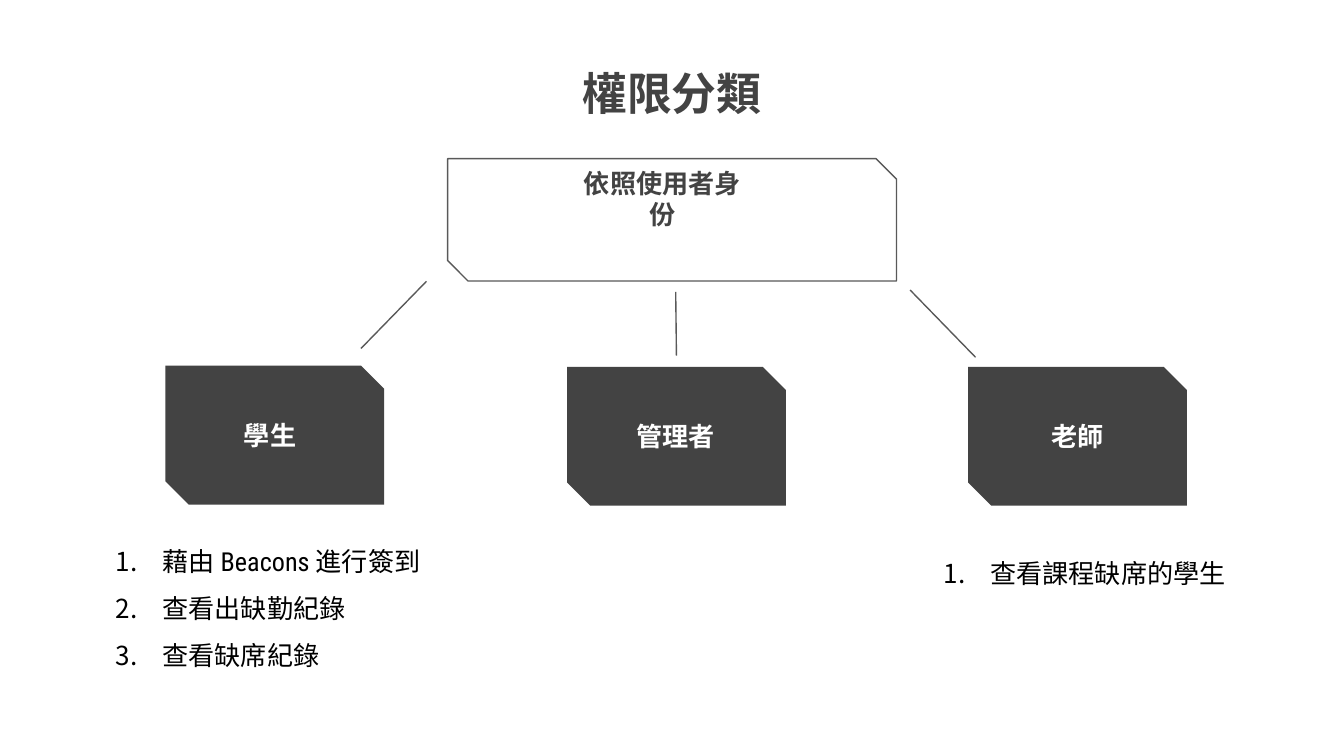
from lxml import etree
from pptx import Presentation
from pptx.enum import shapes, text
from pptx.oxml import ns
from pptx.dml.color import RGBColor
from pptx.util import Pt

COLORS = {"dark": "434343", "line": "595959", "white": "FFFFFF", "black": "000000"}
SNIP = 0.167

presentation = Presentation()
presentation.slide_width, presentation.slide_height = Pt(720), Pt(405)
slide = presentation.slides.add_slide(presentation.slide_layouts[6])


def add_text(box, lines, size, color, font="Roboto", anchor=text.MSO_ANCHOR.TOP, numbered=False):
    """Add a text box; plain lines are bold and centred, numbered ones form a list."""
    frame = slide.shapes.add_textbox(*map(Pt, box)).text_frame
    frame.word_wrap = True
    frame.vertical_anchor = anchor
    frame.margin_left = frame.margin_right = frame.margin_top = frame.margin_bottom = Pt(7.2)
    for index, line in enumerate(lines):
        paragraph = frame.paragraphs[0] if index == 0 else frame.add_paragraph()
        if numbered:
            properties = paragraph._p.get_or_add_pPr()
            properties.set("marL", str(Pt(36)))
            properties.set("indent", str(Pt(-25)))
            bullet = etree.SubElement(properties, ns.qn("a:buAutoNum"))
            bullet.set("type", "arabicPeriod")
            paragraph.line_spacing = 1.5
        else:
            paragraph.alignment = text.PP_ALIGN.CENTER
        run = paragraph.add_run()
        run.text = line
        run.font.name = font
        run.font.size = Pt(size)
        run.font.bold = not numbered
        run.font.color.rgb = RGBColor.from_string(COLORS[color])


def add_snipped_box(left, top, width, height):
    shape = slide.shapes.add_shape(
        shapes.MSO_SHAPE.SNIP_2_DIAG_RECTANGLE, Pt(left), Pt(top), Pt(width), Pt(height))
    shape.adjustments[0], shape.adjustments[1] = 0, SNIP
    shape.shadow.inherit = False
    return shape


add_text((154.8, 28.1, 410.4, 74.2), ["權限分類"], 24, "dark")

# Criterion at the top of the tree
criterion = add_snipped_box(239.8, 85, 240.5, 65.5)
criterion.fill.background()
criterion.line.color.rgb = RGBColor.from_string(COLORS["line"])
criterion.line.width = Pt(0.75)
add_text((298.8, 99.4, 112.3, 31), ["依照使用者身份"], 14, "dark", anchor=text.MSO_ANCHOR.BOTTOM)

# Roles: name, box left, box top, label left
roles = [
    ("學生", 88.6, 195.9, 88.6),
    ("管理者", 303.8, 196.5, 306),
    ("老師", 518.6, 196.5, 521.3),
]
for name, left, top, label_left in roles:
    role = add_snipped_box(left, top, 117.2, 74.4)
    role.fill.solid()
    role.fill.fore_color.rgb = RGBColor.from_string(COLORS["dark"])
    role.line.fill.background()
    add_text((label_left, top + 21.6, 112.3, 31), [name], 14, "white",
             anchor=text.MSO_ANCHOR.BOTTOM)

# Branches from the criterion to the roles
branches = [
    (228.5, 150.7, 193.4, 186.7),
    (362, 156.4, 362.4, 190.6),
    (487.6, 155.4, 522.6, 191.4),
]
for ends in branches:
    branch = slide.shapes.add_connector(shapes.MSO_CONNECTOR.STRAIGHT, *map(Pt, ends))
    branch.line.color.rgb = RGBColor.from_string(COLORS["line"])
    branch.line.width = Pt(0.75)
    etree.SubElement(branch._element.spPr, ns.qn("a:effectLst"))

# Permissions of the roles
permissions = [
    ((43.9, 276.5, 224.6, 82), ["藉由 Beacons 進行簽到", "查看出缺勤紀錄", "查看缺席紀錄"]),
    ((487.4, 283, 224.6, 31.7), ["查看課程缺席的學生"]),
]
for box, lines in permissions:
    add_text(box, lines, 14, "black", font="Roboto Condensed", numbered=True)

presentation.save("out.pptx")
